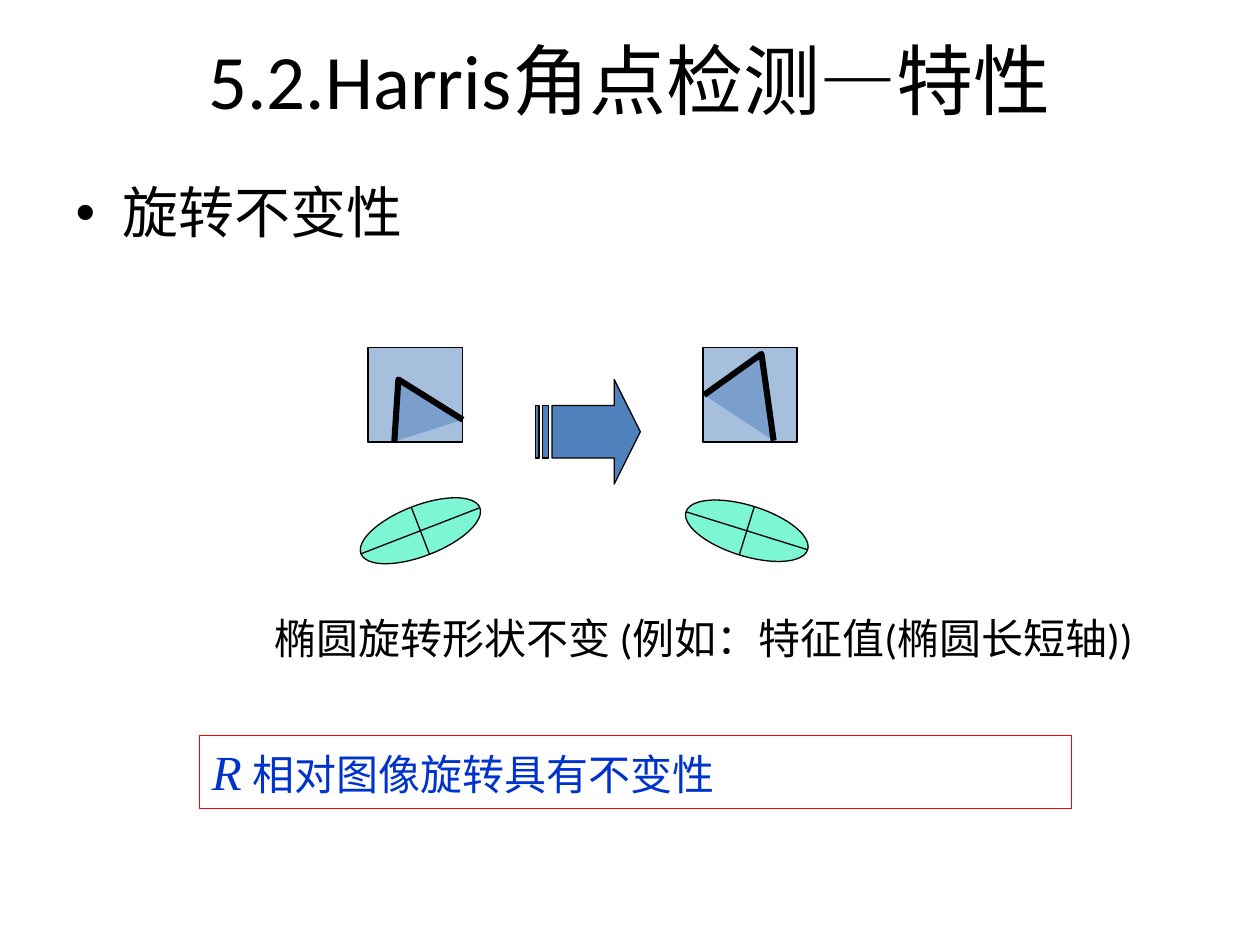
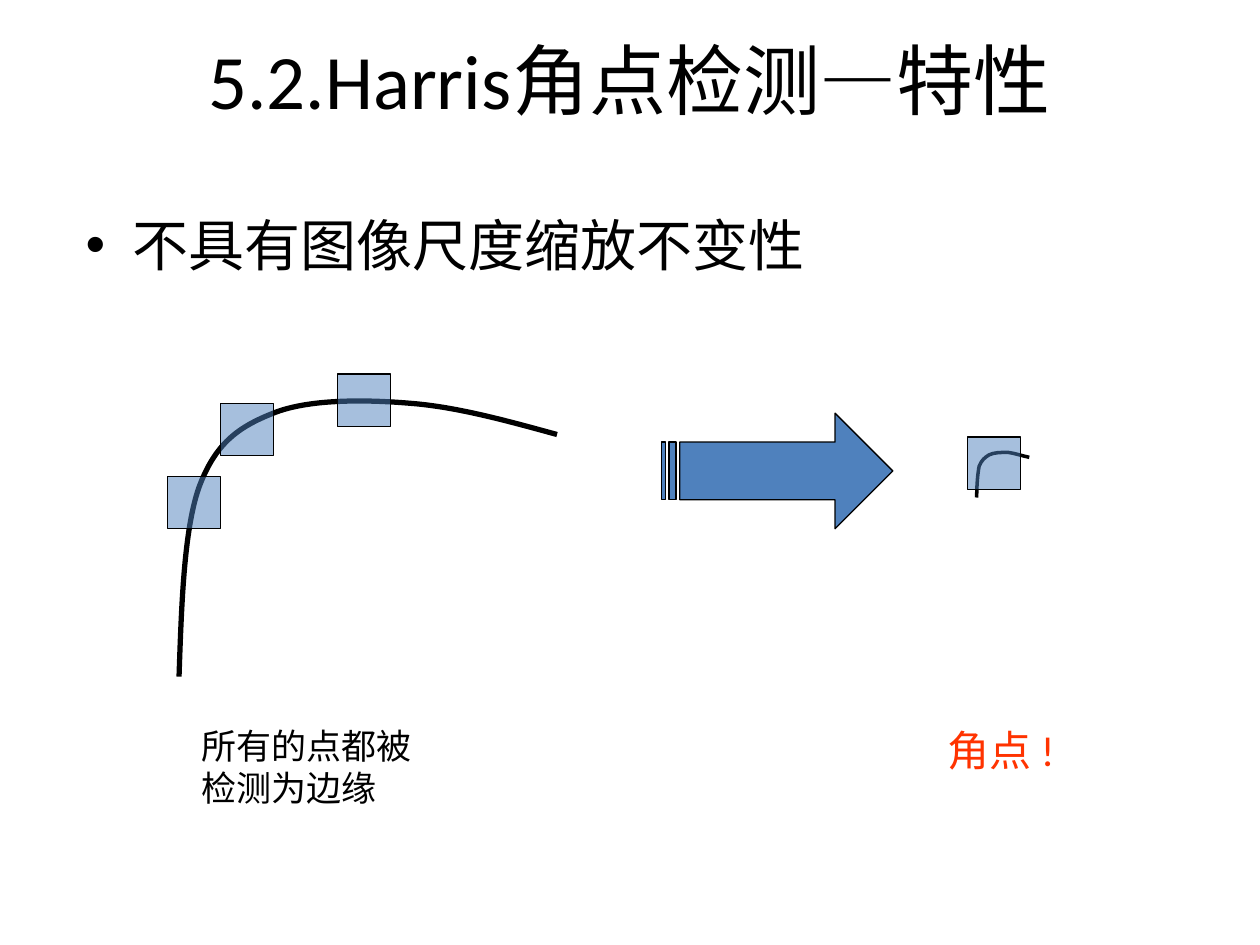
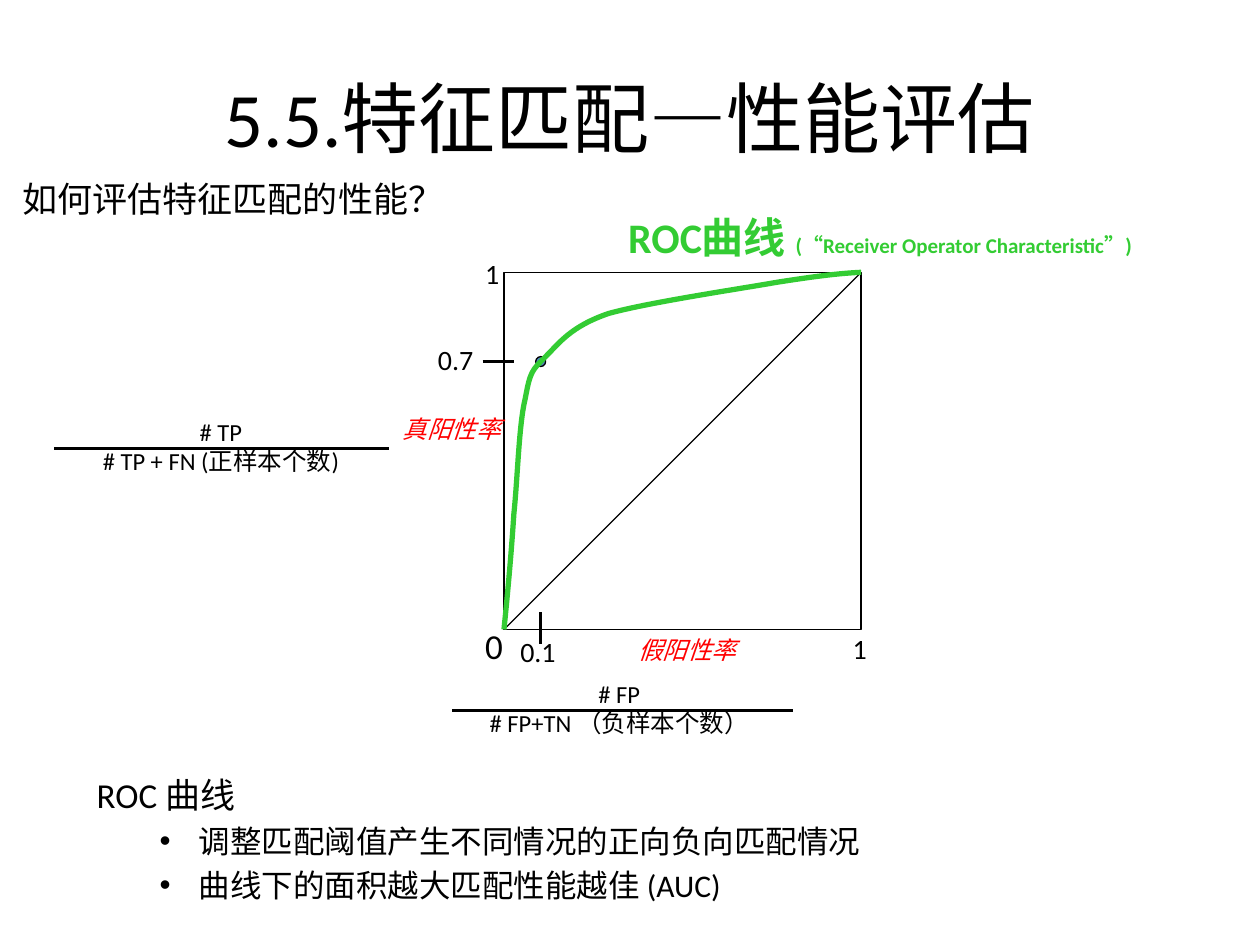
import math
from dataclasses import dataclass
from typing import Optional

import lxml.etree
import pptx
import pptx.dml.color
import pptx.enum.shapes
import pptx.enum.text
import pptx.oxml.ns
import pptx.util

Cm, Pt, qn = pptx.util.Cm, pptx.util.Pt, pptx.oxml.ns.qn
Shapes = pptx.enum.shapes.MSO_SHAPE
Align = pptx.enum.text.PP_ALIGN
Anchor = pptx.enum.text.MSO_ANCHOR

# Shared look
BLACK, BLUE, MINT = "000000", "4F81BD", "7CF6D3"
RED, ORANGE, GREEN, ROYAL = "FF0000", "FF3300", "33CC33", "0033CC"
THIN, MEDIUM, THICK = 0.75, 1.5, 3
HARRIS_TITLE = "5.2.Harris角点检测—特性"

Point = tuple[float, float]


@dataclass
class Area:
    """A rectangle in centimetres."""
    left: float
    top: float
    width: float
    height: float

    def lengths(self) -> tuple:
        return Cm(self.left), Cm(self.top), Cm(self.width), Cm(self.height)

    def center(self) -> Point:
        return self.left + self.width / 2, self.top + self.height / 2


@dataclass
class Span:
    text: str
    size: float
    color: str = BLACK
    bold: bool = False
    italic: bool = False
    font: str = "Calibri"


@dataclass
class Para:
    spans: list[Span]
    align: Align = Align.LEFT
    margin: float = 0
    hanging: float = 0
    bullet: Optional[str] = None
    level: int = 0
    before: float = 0
    spacing: float = 1.0


@dataclass
class Fraction:
    area: Area
    numerator: str
    denominator: str
    bar_width: float


def rgb(color: str) -> pptx.dml.color.RGBColor:
    return pptx.dml.color.RGBColor.from_string(color)


# Text
def write(box, paras: list[Para], anchor: Anchor = Anchor.TOP) -> None:
    frame = box.text_frame
    frame.word_wrap = True
    frame.auto_size = pptx.enum.text.MSO_AUTO_SIZE.NONE
    frame.vertical_anchor = anchor
    for index, para in enumerate(paras):
        target = frame.add_paragraph() if index else frame.paragraphs[0]
        props = target._p.get_or_add_pPr()
        props.set("marL", str(Cm(para.margin)))
        props.set("indent", str(-Cm(para.hanging)))
        if para.bullet:
            lxml.etree.SubElement(props, qn("a:buFont"), typeface="Arial")
            lxml.etree.SubElement(props, qn("a:buChar"), char=para.bullet)
        else:
            lxml.etree.SubElement(props, qn("a:buNone"))
        target.level = para.level
        target.alignment = para.align
        target.line_spacing = para.spacing
        target.space_before = Pt(para.before)
        for span in para.spans:
            run = target.add_run()
            run.text = span.text
            run.font.name = span.font
            run.font.size = Pt(span.size)
            run.font.bold = span.bold
            run.font.italic = span.italic
            run.font.color.rgb = rgb(span.color)


def add_text(page, area: Area, *paras: Para) -> None:
    write(page.shapes.add_textbox(*area.lengths()), list(paras))


def add_label(page, area: Area, text: str, size: float, color: str = BLACK,
              align: Align = Align.LEFT, italic: bool = False) -> None:
    add_text(page, area, Para([Span(text, size, color, italic=italic)], align))


def place(holder, area: Area) -> None:
    holder.left, holder.top, holder.width, holder.height = area.lengths()


def add_page(deck, title: str, title_area: Area, body: Para, body_area: Area):
    page = deck.slides.add_slide(deck.slide_layouts[1])
    place(page.shapes.title, title_area)
    write(page.shapes.title, [Para([Span(title, 44)], Align.CENTER)], Anchor.MIDDLE)
    place(page.placeholders[1], body_area)
    write(page.placeholders[1], [body])
    return page


def bullet_line(text: str, spacing: float = 1.0) -> Para:
    return Para([Span(text, 32)], margin=0.95, hanging=0.95, bullet="•", spacing=spacing)


# Shapes
def paint(shape, fill: Optional[str], line: str, weight: float,
          opacity: Optional[int] = None) -> None:
    shape.shadow.inherit = False
    if fill:
        shape.fill.solid()
        shape.fill.fore_color.rgb = rgb(fill)
        if opacity:
            color = shape.element.spPr.find(qn("a:solidFill")).find(qn("a:srgbClr"))
            lxml.etree.SubElement(color, qn("a:alpha"), val=str(opacity * 1000))
    else:
        shape.fill.background()
    shape.line.color.rgb = rgb(line)
    shape.line.width = Pt(weight)


def add_preset(page, kind: Shapes, area: Area, fill: Optional[str] = None,
               line: str = BLACK, opacity: Optional[int] = None):
    shape = page.shapes.add_shape(kind, *area.lengths())
    paint(shape, fill, line, THIN, opacity)
    return shape


def add_window(page, left: float, top: float, side: float) -> None:
    add_preset(page, Shapes.RECTANGLE, Area(left, top, side, side), BLUE, opacity=50)


def add_striped_arrow(page, area: Area, head: float) -> None:
    arrow = add_preset(page, Shapes.STRIPED_RIGHT_ARROW, area, BLUE)
    arrow.adjustments[0] = 0.5
    arrow.adjustments[1] = head


def add_line(page, start: Point, end: Point, weight: float = THIN) -> None:
    line = page.shapes.add_connector(
        pptx.enum.shapes.MSO_CONNECTOR.STRAIGHT,
        *(Cm(value) for value in (*start, *end)))
    line.line.color.rgb = rgb(BLACK)
    line.line.width = Pt(weight)
    lxml.etree.SubElement(line.element.spPr, qn("a:effectLst"))


def add_outline(page, points: list[Point]):
    start, *others = [(Cm(x), Cm(y)) for x, y in points]
    builder = page.shapes.build_freeform(*start, scale=1.0)
    builder.add_line_segments(others, close=False)
    return builder.convert_to_shape()


def add_curve(page, points: list[Point], color: str, weight: float) -> None:
    """Draw a Bezier chain: a start, then two handles and an end per piece."""
    shape = add_outline(page, points)
    segments = list(shape.element.iter(qn("a:lnTo")))
    for index in range(0, len(segments), 3):
        piece = segments[index:index + 3]
        curve = lxml.etree.Element(qn("a:cubicBezTo"))
        piece[0].addprevious(curve)
        for segment in piece:
            curve.append(segment[0])
            segment.getparent().remove(segment)
    paint(shape, None, color, weight)


def add_corner(page, area: Area, rotation: float = 0) -> None:
    corners = [(0, 1), (0.06, 0), (1, 0.65)]
    shape = add_outline(page, [(area.left + x * area.width, area.top + y * area.height)
                               for x, y in corners])
    paint(shape, BLUE, BLACK, 3.5, opacity=50)
    shape.rotation = rotation


def add_axis_ellipse(page, area: Area, rotation: float) -> None:
    add_preset(page, Shapes.OVAL, area, MINT).rotation = rotation
    x, y = area.center()
    for length, turn in ((area.width, 0), (area.height, 90)):
        angle = math.radians(rotation + turn)
        dx, dy = length / 2 * math.cos(angle), length / 2 * math.sin(angle)
        add_line(page, (x - dx, y - dy), (x + dx, y + dy))


def add_fraction(page, fraction: Fraction) -> None:
    area = fraction.area
    add_text(page, area, *(Para([Span(text, 14)], Align.CENTER)
                           for text in (fraction.numerator, fraction.denominator)))
    left, y = area.left + 0.66, area.top + 0.76
    add_line(page, (left, y), (left + fraction.bar_width, y), MEDIUM)


# Slide 1: rotation invariance
def build_rotation(deck) -> None:
    page = add_page(deck, HARRIS_TITLE, Area(0, 0, 25.4, 3.18),
                    bullet_line("旋转不变性", 0.9), Area(1.27, 3.61, 22.86, 1.63))
    for left in (7.42, 14.17):
        add_window(page, left, 7.01, 1.9)
    add_corner(page, Area(7.95, 7.65, 1.38, 1.25))
    add_corner(page, Area(14.45, 7.42, 1.6, 1.42), 50.5)
    add_striped_arrow(page, Area(10.8, 7.65, 2.11, 2.11), 0.25)
    for left, rotation in ((7.19, 338.8), (13.77, 17.3)):
        add_axis_ellipse(page, Area(left, 10.19, 2.57, 1.02), rotation)
    add_label(page, Area(5.28, 12.22, 18.21, 1.27),
              "椭圆旋转形状不变 (例如：特征值(椭圆长短轴))", 24)
    conclusion = add_preset(page, Shapes.RECTANGLE, Area(4.02, 14.83, 17.58, 1.47), line=RED)
    write(conclusion, [Para([
        Span("R", 28, ROYAL, italic=True, font="Times New Roman"),
        Span(" 相对图像旋转具有不变性", 24, ROYAL, font="Times New Roman")])])


# Slide 2: no scale invariance
def build_scale(deck) -> None:
    page = add_page(deck, HARRIS_TITLE, Area(0, 0, 25.4, 3.18),
                    bullet_line("不具有图像尺度缩放不变性"), Area(1.47, 4.11, 21.59, 11.43))
    small_edge = [(19.69, 10.03),
                  (19.69, 9.78), (19.71, 9.55), (19.74, 9.4),
                  (19.79, 9.27), (19.86, 9.22), (19.94, 9.17),
                  (20.04, 9.12), (20.19, 9.12), (20.32, 9.12),
                  (20.47, 9.14), (20.6, 9.19), (20.75, 9.22)]
    large_edge = [(3.61, 13.64),
                  (3.66, 12.17), (3.71, 10.69), (4.01, 9.83),
                  (4.34, 8.94), (4.8, 8.61), (5.51, 8.33),
                  (6.2, 8.05), (7.32, 8.05), (8.26, 8.13),
                  (9.19, 8.2), (10.21, 8.48), (11.23, 8.76)]
    add_curve(page, small_edge, BLACK, 2)
    add_curve(page, large_edge, BLACK, THICK)
    for left, top in ((19.51, 8.81), (3.38, 9.6), (4.45, 8.13), (6.81, 7.54)):
        add_window(page, left, top, 1.06)
    add_striped_arrow(page, Area(13.34, 8.33, 4.66, 2.33), 0.5)
    add_label(page, Area(3.81, 14.48, 5.28, 1.96), "所有的点都被检测为边缘", 20)
    add_label(page, Area(18.85, 14.48, 3.81, 1.27), "角点 !", 24, ORANGE)


# Slide 3: ROC curve
def build_roc(deck) -> None:
    question = Para([Span("如何评估特征匹配的性能？", 20)], margin=0.95, hanging=0.95)
    page = add_page(deck, "5.5.特征匹配—性能评估", Area(1.27, 0.76, 22.86, 3.18),
                    question, Area(0.2, 3.45, 21.59, 1.19))

    # Plot frame, axis labels and ticks
    plot = Area(10.16, 5.49, 7.2, 7.2)
    right, bottom = plot.left + plot.width, plot.top + plot.height
    add_preset(page, Shapes.RECTANGLE, plot)
    for text, size, area in (("0.7", 16, Area(8.58, 6.78, 2.11, 0.94)),
                             ("0", 20, Area(9.53, 12.47, 1.27, 1.09)),
                             ("1", 16, Area(16.94, 12.6, 0.84, 0.94)),
                             ("1", 16, Area(9.53, 5.05, 0.84, 0.94)),
                             ("0.1", 16, Area(10.24, 12.67, 2.11, 0.94))):
        add_label(page, area, text, size)
    for text, area in (("假阳性率", Area(9.09, 12.67, 9.53, 0.84)),
                       ("真阳性率", Area(7.42, 8.23, 3.38, 1.45))):
        add_label(page, area, text, 14, RED, Align.CENTER, italic=True)
    for fraction in (
            Fraction(Area(0.43, 8.28, 8.05, 1.45), "# TP", "# TP + FN (正样本个数)", 6.76),
            Fraction(Area(8.46, 13.56, 8.05, 1.45), "# FP", "# FP+TN （负样本个数）", 6.86)):
        add_fraction(page, fraction)
    dot = Area(10.8, 7.19, 0.2, 0.2)
    dot_x, dot_y = dot.center()
    add_preset(page, Shapes.OVAL, dot, BLUE)
    add_line(page, (dot_x, 12.34), (dot_x, 12.98), MEDIUM)
    add_line(page, (9.73, dot_y), (10.37, dot_y), MEDIUM)

    # Diagonal and curve
    add_line(page, (plot.left, bottom), (right, plot.top))
    roc = [(plot.left, bottom),
           (10.24, 11.91), (10.31, 11.13), (10.36, 10.36),
           (10.44, 9.58), (10.46, 8.56), (10.59, 8.03),
           (10.69, 7.49), (10.72, 7.47), (11, 7.19),
           (11.28, 6.91), (11.51, 6.58), (12.27, 6.32),
           (13.06, 6.1), (14.81, 5.84), (15.67, 5.69),
           (16.51, 5.56), (16.94, 5.51), (right, plot.top)]
    add_curve(page, roc, GREEN, THICK)
    add_text(page, Area(9.7, 4.14, 16.08, 1.27), Para([
        Span("ROC曲线 ", 24, GREEN, bold=True),
        Span("(“Receiver Operator Characteristic”)", 12, GREEN, bold=True)], Align.CENTER))

    # Explanation
    add_text(page, Area(1.7, 15.47, 23.5, 3.35),
             Para([Span("ROC 曲线", 20)], margin=0.95, hanging=0.95),
             *(Para([Span(text, 18)], margin=2.06, hanging=0.79, bullet="•",
                    level=1, before=3.6)
               for text in ("调整匹配阈值产生不同情况的正向负向匹配情况",
                            "曲线下的面积越大匹配性能越佳 (AUC)")))


def main() -> None:
    deck = pptx.Presentation()
    deck.slide_width, deck.slide_height = Cm(25.4), Cm(19.05)
    build_rotation(deck)
    build_scale(deck)
    build_roc(deck)
    deck.save("out.pptx")


if __name__ == "__main__":
    main()
